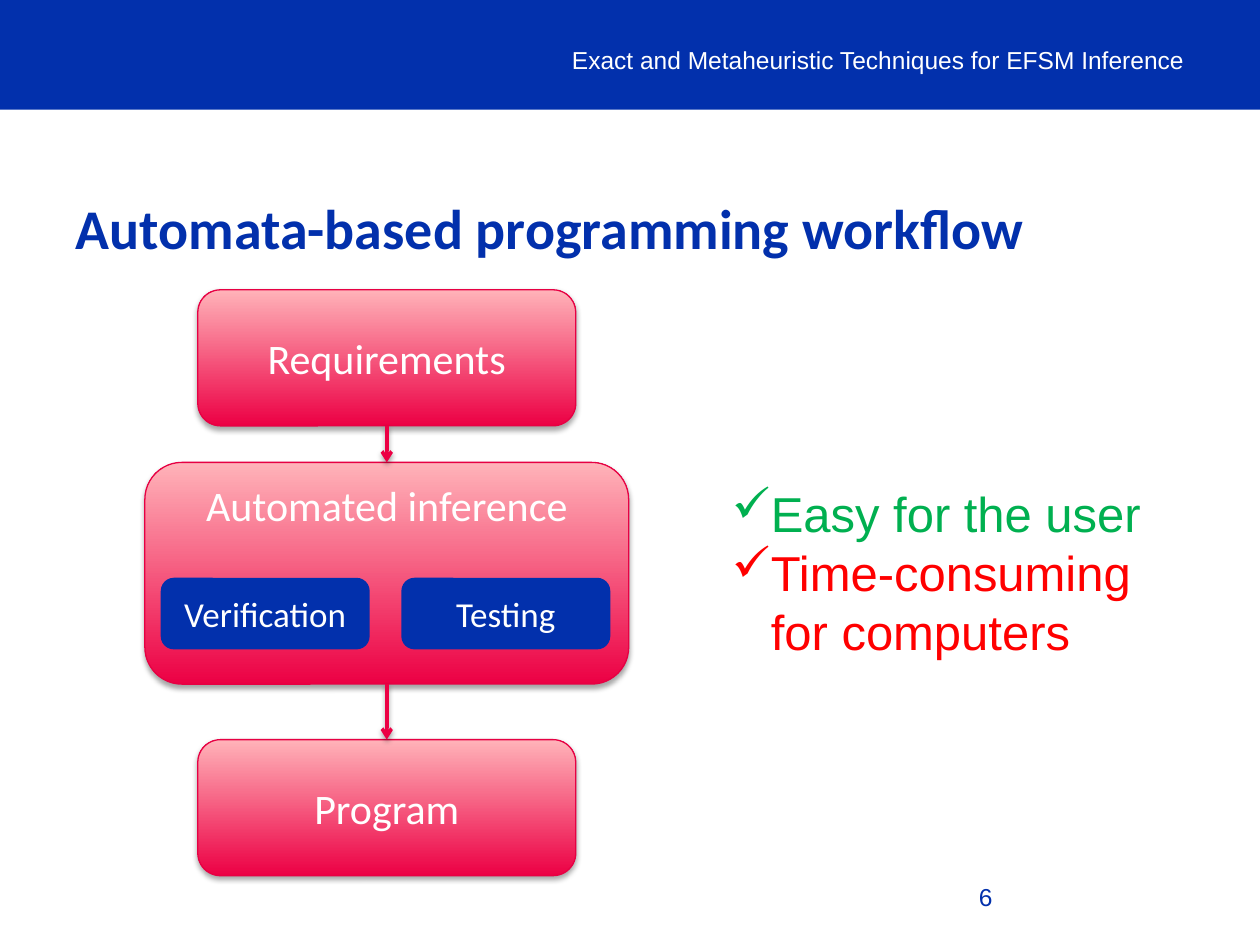
"""Build the slide on the automata-based programming workflow."""
from dataclasses import dataclass

from lxml import etree
from pptx import Presentation
from pptx import util as u
from pptx.dml.color import RGBColor
from pptx.enum import shapes, text
from pptx.oxml import parse_xml
from pptx.oxml.ns import nsdecls, qn

BLUE = RGBColor(0x02, 0x30, 0xAC)
CRIMSON = RGBColor(0xEC, 0x00, 0x44)
PINK = RGBColor(0xFF, 0xB3, 0xB9)
EDGE = RGBColor(0xE7, 0x00, 0x43)
WHITE = RGBColor(0xFF, 0xFF, 0xFF)
GREEN = RGBColor(0x00, 0xB0, 0x50)
RED = RGBColor(0xFF, 0x00, 0x00)
COLUMNS, ROWS = 100, 75
WIDTH, HEIGHT = u.Inches(10), u.Inches(7.5)
AXIS = 30.7
INDENT = u.Inches(0.31)


@dataclass(frozen=True)
class Area:
    """A rectangle in columns and rows of the slide grid."""
    left: float
    top: float
    width: float
    height: float

    def emu(self) -> tuple[int, int, int, int]:
        """Return left, top, width and height in EMU."""
        column, row = WIDTH / COLUMNS, HEIGHT / ROWS
        return (round(self.left * column), round(self.top * row),
                round(self.width * column), round(self.height * row))


@dataclass(frozen=True)
class Stage:
    """A workflow stage centred on the flow axis."""
    label: str
    top: float
    width: float
    height: float
    anchor: text.MSO_ANCHOR = text.MSO_ANCHOR.MIDDLE

    def area(self) -> Area:
        """Return the area of the stage on the grid."""
        return Area(AXIS - self.width / 2, self.top, self.width, self.height)


STAGES = (
    Stage("Requirements", 23, 30, 10.8),
    Stage("Automated inference", 36.7, 38.4, 17.6, text.MSO_ANCHOR.TOP),
    Stage("Program", 58.7, 30, 10.8),
)
CHECKS = ("Verification", "Testing")
CHECK_AREA, CHECK_PITCH = Area(12.9, 46, 16.3, 5.4), 19.1
REMARKS = (("Easy for the user", GREEN), ("Time-consuming for computers", RED))


def style(paragraph, size: float, color: RGBColor, font: str = "Arial",
          align=text.PP_ALIGN.LEFT, bold: bool = False) -> None:
    """Format a paragraph and its runs."""
    paragraph.alignment = align
    for run in paragraph.runs:
        run.font.size, run.font.name, run.font.bold = u.Pt(size), font, bold
        run.font.color.rgb = color


def add_shadow(shape, opacity: int, distance: float) -> None:
    """Cast a soft black shadow straight down."""
    properties = shape._element.spPr
    for effects in properties.findall(qn("a:effectLst")):
        properties.remove(effects)
    properties.append(parse_xml(
        f'<a:effectLst {nsdecls("a")}><a:outerShdw blurRad="{u.Pt(3.1)}" '
        f'dist="{u.Pt(distance)}" dir="5400000" rotWithShape="0"><a:srgbClr val="000000">'
        f'<a:alpha val="{opacity * 1000}"/></a:srgbClr></a:outerShdw></a:effectLst>'))


def add_block(slide, area: Area, label: str, size: float, line: RGBColor,
              weight: float, anchor=text.MSO_ANCHOR.MIDDLE):
    """Add a rounded, labelled block without a fill of its own."""
    block = slide.shapes.add_shape(shapes.MSO_SHAPE.ROUNDED_RECTANGLE, *area.emu())
    block.shadow.inherit = False
    block.line.color.rgb, block.line.width = line, u.Pt(weight)
    frame = block.text_frame
    frame.text, frame.vertical_anchor = label, anchor
    style(frame.paragraphs[0], size, WHITE, "Calibri", text.PP_ALIGN.CENTER)
    return block


def add_stage(slide, stage: Stage):
    """Add a workflow stage with a gradient and a shadow."""
    block = add_block(slide, stage.area(), stage.label, 24, EDGE, 0.75, stage.anchor)
    block.fill.gradient()
    block.fill.gradient_angle = 90
    for stop, color in zip(block.fill.gradient_stops, (CRIMSON, PINK)):
        stop.color.rgb = color
    add_shadow(block, 35, 1.8)
    return block


def add_arrow(slide, upper, lower) -> None:
    """Join two stages with a downward arrow."""
    arrow = slide.shapes.add_connector(shapes.MSO_CONNECTOR.STRAIGHT, 0, 0, 0, 0)
    arrow.begin_connect(upper, 2)
    arrow.end_connect(lower, 0)
    arrow.line.color.rgb, arrow.line.width = CRIMSON, u.Pt(2)
    etree.SubElement(arrow.line._get_or_add_ln(), qn("a:tailEnd"), type="arrow")
    add_shadow(arrow, 38, 1.6)


def add_text(slide, area: Area, lines: tuple[str, ...]):
    """Add a wrapping text box and return its frame."""
    frame = slide.shapes.add_textbox(*area.emu()).text_frame
    frame.word_wrap = True
    frame.text = "\n".join(lines)
    return frame


def add_remarks(slide) -> None:
    """Add the ticked remarks beside the workflow."""
    frame = add_text(slide, Area(57.1, 37.9, 39.2, 15.1), tuple(r[0] for r in REMARKS))
    frame.auto_size = text.MSO_AUTO_SIZE.SHAPE_TO_FIT_TEXT
    for paragraph, (_, color) in zip(frame.paragraphs, REMARKS):
        style(paragraph, 28, color)
        properties = paragraph._p.get_or_add_pPr()
        properties.set("marL", str(INDENT))
        properties.set("indent", str(-INDENT))
        etree.SubElement(properties, qn("a:buChar"), char="✓")


def add_heading(slide) -> None:
    """Add the banner, the running title, the title and the page number."""
    banner = slide.shapes.add_shape(shapes.MSO_SHAPE.RECTANGLE, *Area(0, 0, COLUMNS, 8.7).emu())
    banner.shadow.inherit = False
    banner.fill.solid()
    banner.fill.fore_color.rgb = BLUE
    banner.line.fill.background()

    title = slide.shapes.title
    title.left, title.top, title.width, title.height = Area(5, 13.5, 90, 9).emu()
    title.text_frame.text = "Automata-based programming workflow"
    title.text_frame.vertical_anchor = text.MSO_ANCHOR.MIDDLE
    style(title.text_frame.paragraphs[0], 32, BLUE, "Calibri", bold=True)

    running = add_text(slide, Area(44.1, 2.7, 50.9, 4),
                       ("Exact and Metaheuristic Techniques for EFSM Inference",))
    running.vertical_anchor = text.MSO_ANCHOR.MIDDLE
    style(running.paragraphs[0], 14, WHITE, align=text.PP_ALIGN.RIGHT)

    page = add_text(slide, Area(76.7, 69.5, 23.3, 4), ("6",))
    style(page.paragraphs[0], 14, BLUE)


def main() -> None:
    """Build and save the slide."""
    deck = Presentation()
    deck.slide_width, deck.slide_height = WIDTH, HEIGHT
    slide = deck.slides.add_slide(deck.slide_layouts[5])
    add_heading(slide)
    blocks = [add_stage(slide, stage) for stage in STAGES]
    add_remarks(slide)
    for upper, lower in zip(blocks, blocks[1:]):
        add_arrow(slide, upper, lower)
    for index, label in enumerate(CHECKS):
        area = Area(CHECK_AREA.left + index * CHECK_PITCH, CHECK_AREA.top,
                    CHECK_AREA.width, CHECK_AREA.height)
        check = add_block(slide, area, label, 20, BLUE, 2)
        check.fill.solid()
        check.fill.fore_color.rgb = BLUE
    deck.save("out.pptx")


if __name__ == "__main__":
    main()
